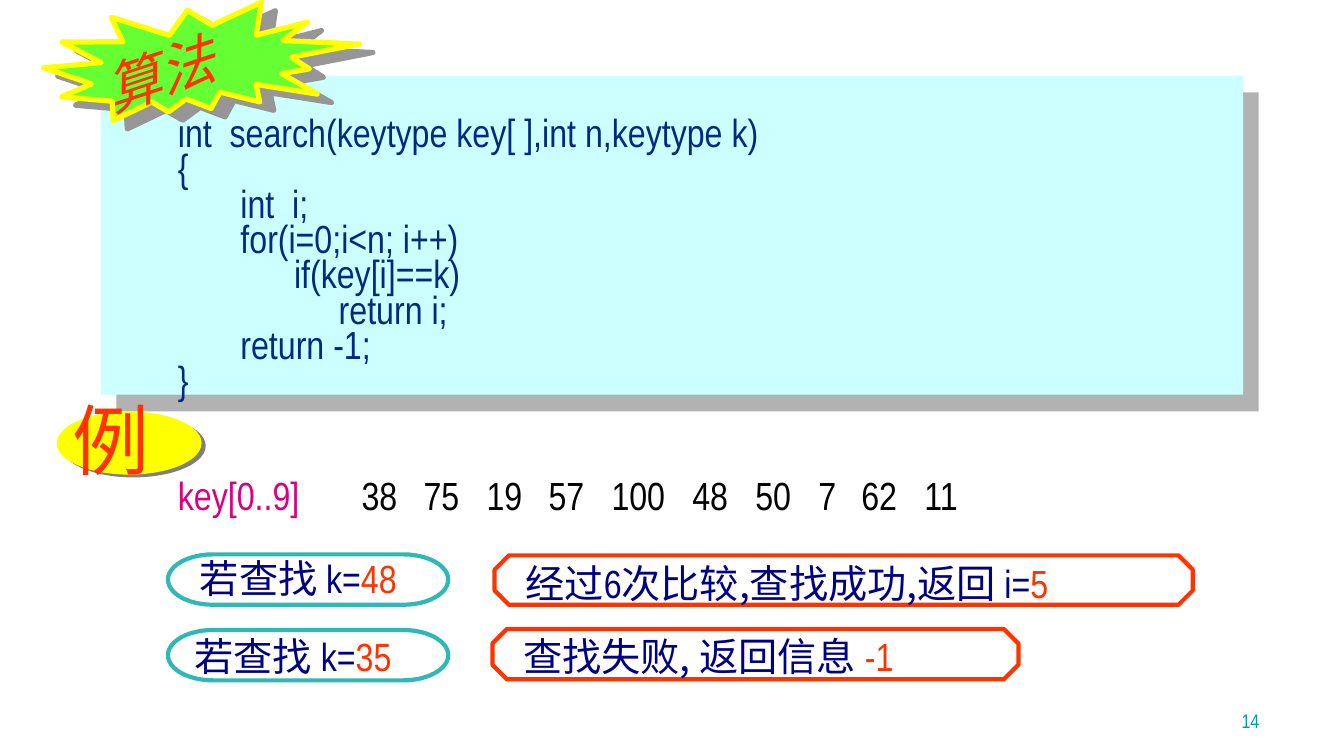
from lxml import etree
from pptx import Presentation
from pptx.dml.color import RGBColor
from pptx.enum.shapes import MSO_SHAPE
from pptx.enum.text import MSO_ANCHOR, MSO_AUTO_SIZE, PP_ALIGN
from pptx.oxml.ns import qn
from pptx.util import Pt

PX = 9525
LATIN, CHINESE = "Arial Narrow", "Noto Sans CJK SC"
RECTANGLE, ELLIPSE, BURST = MSO_SHAPE.RECTANGLE, MSO_SHAPE.OVAL, MSO_SHAPE.EXPLOSION2
TERMINATOR, OCTAGON = MSO_SHAPE.FLOWCHART_TERMINATOR, MSO_SHAPE.OCTAGON
BOTTOM, RIGHT = MSO_ANCHOR.BOTTOM, PP_ALIGN.RIGHT
GROW = MSO_AUTO_SIZE.SHAPE_TO_FIT_TEXT

WHITE = RGBColor(0xFF, 0xFF, 0xFF)
BLACK = RGBColor(0x00, 0x00, 0x00)
NAVY = RGBColor(0x00, 0x00, 0x84)
CODE_BLUE = RGBColor(0x00, 0x2B, 0x80)
RED = RGBColor(0xFF, 0x33, 0x00)
TEAL = RGBColor(0x2E, 0xB9, 0xB6)
NUMBER_TEAL = RGBColor(0x00, 0x9E, 0xA1)
CYAN = RGBColor(0xCC, 0xFF, 0xFF)
GREEN = RGBColor(0x66, 0xFF, 0x33)
YELLOW = RGBColor(0xFF, 0xFF, 0x00)
MAGENTA = RGBColor(0xDC, 0x00, 0x81)
PANEL_SHADE = RGBColor(0xB2, 0xB2, 0xB2)
BURST_SHADE = RGBColor(0x96, 0x96, 0x96)
ELLIPSE_SHADE = RGBColor(0x80, 0x80, 0x80)

CODE = [
    "int  search(keytype key[ ],int n,keytype k)",
    "{",
    "       int  i;",
    "       for(i=0;i<n; i++)",
    "             if(key[i]==k)",
    "                  return i;",
    "       return -1;",
    "}",
]
KEYS = [38, 75, 19, 57, 100, 48, 50, 7, 62, 11]
KEY_TABS = [175, 234, 294, 353, 413, 490, 550, 610, 651, 711]


def add_shadow(properties, color, distance, angle):
    effects = etree.SubElement(properties, qn("a:effectLst"))
    outer = etree.SubElement(effects, qn("a:outerShdw"), blurRad="0", dist=str(Pt(distance)),
                             dir=str(angle * 60000), algn="ctr", rotWithShape="0")
    etree.SubElement(outer, qn("a:srgbClr"), val=str(color))


def add_outline(page, kind, box, fill=None, line=None, weight=3, shadow=None):
    shape = page.shapes.add_shape(kind, *(length * PX for length in box))
    if fill is None:
        shape.fill.background()
    else:
        shape.fill.solid()
        shape.fill.fore_color.rgb = fill
    if line is None:
        shape.line.fill.background()
    else:
        shape.line.color.rgb = line
        shape.line.width = Pt(weight)
    if shadow:
        add_shadow(shape._element.spPr, *shadow)
    else:
        shape.shadow.inherit = False
    return shape


def add_label(page, box):
    label = page.shapes.add_textbox(*(length * PX for length in box))
    label.text_frame.word_wrap = True
    label.text_frame.auto_size = GROW
    return label


def add_span(para, text, color, size=28, font=LATIN, lifted=False):
    span = para.add_run()
    span.text = text
    span.font.size = Pt(size)
    span.font.color.rgb = color
    if lifted:
        add_shadow(span._r.get_or_add_rPr(), WHITE, 2, 45)
    span.font.name = font
    east_asian = etree.Element(qn("a:ea"), typeface=CHINESE)
    span._r.rPr.find(qn("a:latin")).addnext(east_asian)
    return span


def add_code_panel(page, left, top, width, height):
    add_outline(page, RECTANGLE, (left, top, width, height), CYAN,
                shadow=(PANEL_SHADE, 16.3, 47))
    frame = add_label(page, (left + 64, top + 37, width + 10, height - 23)).text_frame
    for index, line in enumerate(CODE):
        para = frame.add_paragraph() if index else frame.paragraphs[0]
        para.line_spacing = 0.75
        add_span(para, line, CODE_BLUE)


def add_algorithm_burst(page, left, top, width, height):
    burst = add_outline(page, BURST, (left, top, width, height), GREEN, YELLOW, 3.75,
                        (BURST_SHADE, 11.7, 31))
    burst.rotation = 2.2
    label = add_label(page, (left + 44, top + 20, 211, 74))
    label.rotation = 341.8
    span = add_span(label.text_frame.paragraphs[0], "算法", RED, 40, lifted=True)
    span.font.italic = True


def add_key_row(page, left, top, width, height):
    para = add_label(page, (left, top, width, height)).text_frame.paragraphs[0]
    tabs = etree.SubElement(para._p.get_or_add_pPr(), qn("a:tabLst"))
    for position in KEY_TABS:
        etree.SubElement(tabs, qn("a:tab"), pos=str(position * PX), algn="l")
    add_span(para, "key[0..9]", MAGENTA)
    for key in KEYS:
        add_span(para, f"\t{key}", BLACK)


def add_example_badge(page, left, top, width, height):
    add_outline(page, ELLIPSE, (left, top, width, height), YELLOW,
                shadow=(ELLIPSE_SHADE, 3.6, 34))
    label = add_label(page, (left + 6, top - 23, width, 98))
    add_span(label.text_frame.paragraphs[0], "例", RED, 55, lifted=True)


def add_query(page, left, top, width, height, inset, rise, key):
    add_outline(page, TERMINATOR, (left, top, width, height), line=TEAL)
    label = add_label(page, (left + inset, top - rise, width - 5, 55))
    para = label.text_frame.paragraphs[0]
    add_span(para, "若查找 k=", NAVY)
    add_span(para, key, RED)


def add_result(page, left, top, width, height, rise, spans):
    frame = add_outline(page, OCTAGON, (left, top, width, height), line=RED)
    frame.adjustments[0] = 0.29
    label = add_label(page, (left + 20, top - rise, width + 18, 55))
    for text, color, font in spans:
        add_span(label.text_frame.paragraphs[0], text, color, font=font)


def add_page_number(page, left, top, width, height):
    label = add_label(page, (left, top, width, height))
    label.text_frame.auto_size = MSO_AUTO_SIZE.NONE
    label.text_frame.vertical_anchor = BOTTOM
    para = label.text_frame.paragraphs[0]
    para.alignment = RIGHT
    add_span(para, "14", NUMBER_TEAL, 14)


def main():
    deck = Presentation()
    deck.slide_width, deck.slide_height = 1280 * PX, 720 * PX
    page = deck.slides.add_slide(deck.slide_layouts[6])
    add_query(page, 160, 528, 267, 48, 21, 5, "48")
    add_result(page, 471, 529, 665, 47, 1, [
        ("经过", NAVY, CHINESE), ("6", NAVY, LATIN),
        ("次比较,查找成功,返回 ", NAVY, CHINESE), ("i=", NAVY, LATIN), ("5", RED, LATIN)])
    add_code_panel(page, 96, 72, 1088, 304)
    add_algorithm_burst(page, 42, 0, 299, 118)
    add_result(page, 469, 599, 501, 48, 2, [
        ("查找失败, 返回信息 ", NAVY, CHINESE), ("-1", RED, LATIN)])
    add_query(page, 160, 600, 267, 48, 16, 3, "35")
    add_key_row(page, 160, 444, 1035, 55)
    add_example_badge(page, 54, 392, 138, 60)
    add_page_number(page, 942, 654, 267, 48)
    deck.save("out.pptx")


if __name__ == "__main__":
    main()
